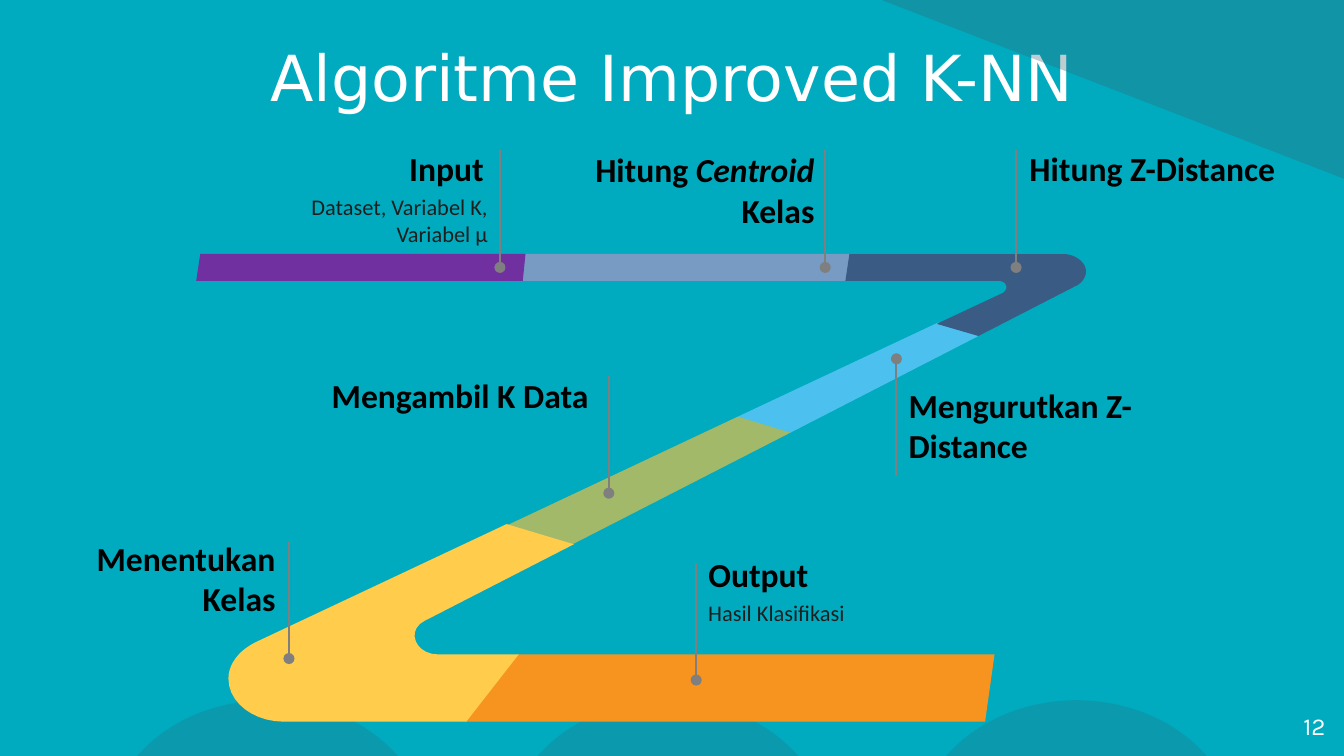
from lxml.etree import SubElement
from pptx import Presentation
from pptx.dml.color import RGBColor
from pptx.enum.shapes import MSO_CONNECTOR, MSO_SHAPE
from pptx.enum.text import MSO_ANCHOR, MSO_AUTO_SIZE, PP_ALIGN
from pptx.oxml.ns import qn
from pptx.util import Inches, Pt

CELL = Inches(0.1)
COLUMNS, ROWS = 100, 56.25
PIN_ROWS = 8.7
CURVE_STEPS = 10

COLORS = {
    "background": "00ABBF", "decor": "336574", "title": "FFFFFF",
    "heading": "000000", "detail": "1F1F1F", "pin": "7F7F7F",
    "input": "7030A0", "centroid": "789BC4", "distance": "3A5C84",
    "sort": "4CC1EF", "take": "A2B969", "decide": "FFCC4C", "output": "F7931F",
}
FORMATS = {
    "title": {"name": "DejaVu Sans", "size": Pt(34), "bold": False},
    "heading": {"name": "Calibri", "size": Pt(18), "bold": True},
    "detail": {"name": "Calibri", "size": Pt(12), "bold": False},
    "number": {"name": "Karla", "size": Pt(13), "bold": False},
}
LEFT, CENTER, RIGHT = PP_ALIGN.LEFT, PP_ALIGN.CENTER, PP_ALIGN.RIGHT

BANDS = [
    ("sort", [(72.8, 25), (71.8, 24), (69.8, 24), (54.9, 31), (56.5, 32.2), (58.8, 32.2)]),
    ("centroid", [(39.1, 18.9), (38.8, 20.9), (63, 20.9), (63.2, 18.9)]),
    ("input", [(14.9, 18.9), (14.6, 20.9), (38.9, 20.9), (39.1, 18.9)]),
    ("distance", [
        (80, 21.3), ((80.5, 21.1), (80.8, 20.6), (80.8, 20.2)),
        ((80.8, 19.5), (80, 18.9), (79.1, 18.9)), (63.2, 18.9), (62.9, 20.9),
        (74.3, 20.9), ((74.9, 20.9), (75.1, 21.5), (74.6, 21.8)),
        (69.7, 24.1), (72.8, 25)]),
    ("take", [(58.8, 32.2), (54.9, 31), (37.7, 39.1), (42.6, 40.5)]),
    ("output", [(38.5, 48.7), (34.6, 53.7), (73.3, 53.7), (74, 48.7)]),
    ("decide", [
        (32.6, 48.7), ((30.9, 48.7), (30.2, 46.9), (31.6, 46.2)), (42.7, 40.5),
        (37.7, 39), (19, 47.8), ((17.8, 48.4), (17, 49.4), (17, 50.5)),
        ((17, 52.3), (18.9, 53.7), (21.1, 53.7)), (34.7, 53.7), (38.6, 48.7)]),
]
HEADINGS = [
    ((52.7, 40.7, 20.1, 4), LEFT, ["Output"]),
    ((3.6, 39.4, 16.9, 7.1), RIGHT, ["Menentukan Kelas"]),
    ((24.3, 27.4, 19.5, 4), RIGHT, ["Mengambil K Data"]),
    ((18.7, 10.5, 17.3, 4), RIGHT, ["Input"]),
    ((40.5, 10.5, 20.1, 7.1), RIGHT, ["Hitung ", "Centroid ", "Kelas"]),
    ((76.6, 10.5, 20.1, 4), LEFT, ["Hitung Z-Distance"]),
    ((67.6, 28, 20.1, 7.1), LEFT, ["Mengurutkan Z-Distance"]),
]
DETAILS = [
    ((52.7, 44.1, 20.4, 3), LEFT, [["Hasil Klasifikasi"]]),
    ((10.7, 13.9, 25.6, 5.1), RIGHT, [["Dataset, Variabel K,"], ["Variabel μ"]]),
]
PINS = [(37.2, 11.2, 1), (61.4, 11.2, 1), (75.6, 11.2, 1), (45.3, 28, 1),
        (21.5, 40.3, 1), (51.8, 41.9, 1), (66.7, 35.4, -1)]


def grid(*cells):
    return [round(cell * CELL) for cell in cells]


def color(name):
    return RGBColor.from_string(COLORS[name])


def paint(shape, name, opacity=None):
    shape.shadow.inherit = False
    shape.fill.solid()
    shape.fill.fore_color.rgb = color(name)
    shape.line.fill.background()
    if opacity:
        solid = shape.fill._xPr.find(qn("a:solidFill"))
        SubElement(solid[0], qn("a:alpha"), val=str(opacity * 1000))


def add_decor(page, kind, area, opacity, rotation=0):
    shape = page.shapes.add_shape(kind, *grid(*area))
    shape.rotation = rotation
    paint(shape, "decor", opacity)


def outline(steps):
    points = [steps[0]]
    for step in steps[1:]:
        if len(step) == 2:
            points.append(step)
            continue
        corners = (points[-1], *step)
        for index in range(1, CURVE_STEPS + 1):
            t = index / CURVE_STEPS
            weights = ((1 - t) ** 3, 3 * t * (1 - t) ** 2, 3 * t * t * (1 - t), t ** 3)
            points.append(tuple(
                sum(weight * corner[axis] for weight, corner in zip(weights, corners))
                for axis in (0, 1)))
    return [grid(*point) for point in points]


def add_band(page, name, steps):
    points = outline(steps)
    builder = page.shapes.build_freeform(*points[0])
    builder.add_line_segments(points[1:], close=True)
    paint(builder.convert_to_shape(), name)


def write(frame, paragraphs, style, tint, align, anchor, insets):
    settings = {"word_wrap": True, "vertical_anchor": anchor}
    for side, inset in zip(("left", "top", "right", "bottom"), insets * 2):
        settings["margin_" + side] = Inches(inset)
    for key, value in settings.items():
        setattr(frame, key, value)
    for index, texts in enumerate(paragraphs):
        para = frame.add_paragraph() if index else frame.paragraphs[0]
        para.alignment = align
        for text in texts:
            span = para.add_run()
            span.text = text
            for key, value in FORMATS[style].items():
                setattr(span.font, key, value)
            span.font.italic = text.startswith("Centroid")
            span.font.color.rgb = color(tint)


def add_label(page, area, align, paragraphs, style, anchor):
    box = page.shapes.add_textbox(*grid(*area))
    write(box.text_frame, paragraphs, style, style, align, anchor, (0, 0.05))
    box.text_frame.auto_size = MSO_AUTO_SIZE.SHAPE_TO_FIT_TEXT


def add_title(page, text):
    title = page.shapes.title
    title.left, title.top, title.width, title.height = grid(7.8, 2.5, 84.4, 6.3)
    write(title.text_frame, [[text]], "title", "title", CENTER, MSO_ANCHOR.MIDDLE, (0.1, 0.1))
    title.text_frame.auto_size = MSO_AUTO_SIZE.NONE


def add_number(page, text):
    box = page.shapes.add_textbox(*grid(93.6, 51.9, 6, 4.3))
    write(box.text_frame, [[text]], "number", "title", RIGHT, MSO_ANCHOR.TOP, (0.1, 0.1))


def add_pin(page, column, row, direction):
    ends = grid(column, row, column, row + direction * PIN_ROWS)
    pin = page.shapes.add_connector(MSO_CONNECTOR.STRAIGHT, *ends)
    pin.line.color.rgb = color("pin")
    pin.line.width = Pt(1)
    SubElement(pin.line._get_or_add_ln(), qn("a:tailEnd"), type="oval")
    SubElement(pin._element.spPr, qn("a:effectLst"))


def main():
    deck = Presentation()
    deck.slide_width, deck.slide_height = grid(COLUMNS, ROWS)
    page = deck.slides.add_slide(deck.slide_layouts[5])
    page.background.fill.solid()
    page.background.fill.fore_color.rgb = color("background")
    add_decor(page, MSO_SHAPE.RIGHT_TRIANGLE, (65.6, 0, 34.4, 13.3), 32, 180)
    for column in (7.9, 37.7, 68.1):
        add_decor(page, MSO_SHAPE.OVAL, (column, 52.1, 24, 20.2), 23)
    add_title(page, "Algoritme Improved K-NN")
    for name, steps in BANDS:
        add_band(page, name, steps)
    for area, align, texts in HEADINGS:
        add_label(page, area, align, [texts], "heading", MSO_ANCHOR.BOTTOM)
    for area, align, paragraphs in DETAILS:
        add_label(page, area, align, paragraphs, "detail", MSO_ANCHOR.TOP)
    for pin in PINS:
        add_pin(page, *pin)
    add_number(page, "12")
    deck.save("out.pptx")


if __name__ == "__main__":
    main()
